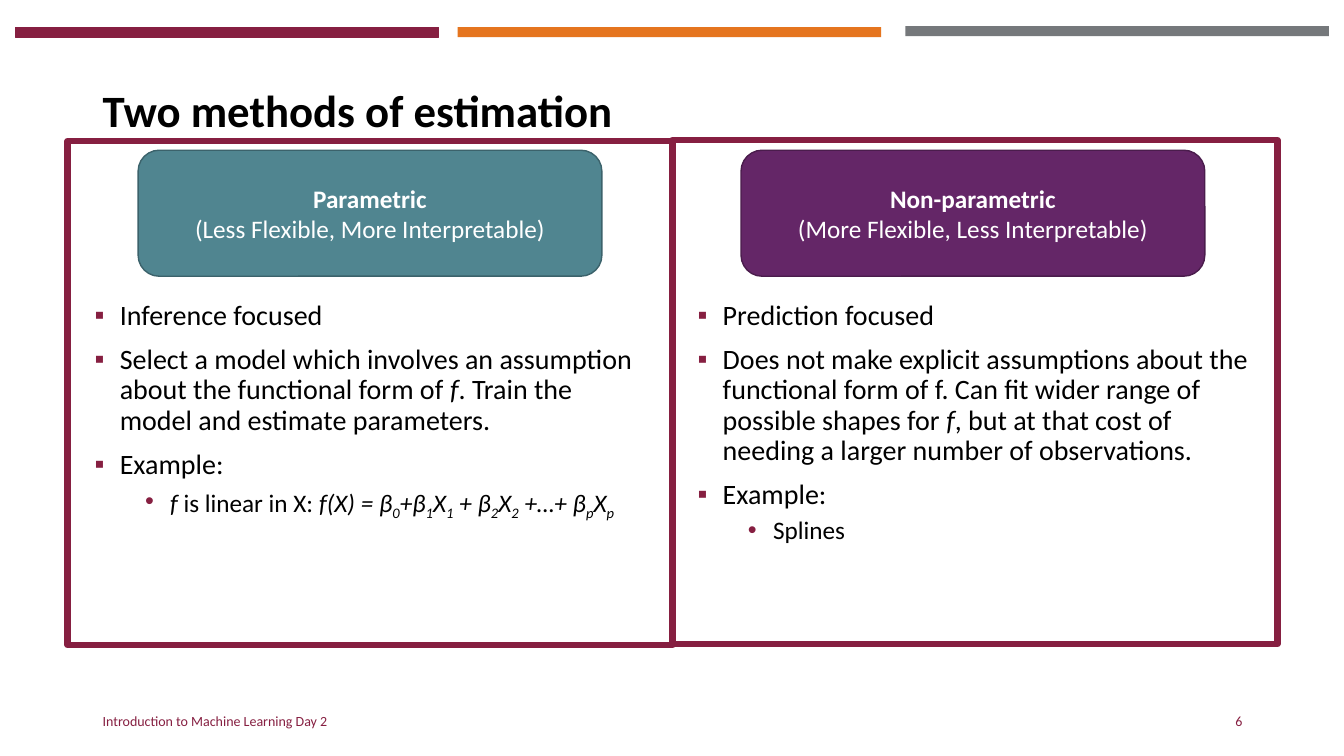
from dataclasses import dataclass

from lxml.etree import SubElement
from pptx import Presentation
from pptx.dml.color import RGBColor
from pptx.enum.shapes import MSO_SHAPE
from pptx.enum.text import MSO_ANCHOR, PP_ALIGN
from pptx.oxml.ns import qn
from pptx.util import Inches, Pt

COLORS = {
    "maroon": "861F41", "orange": "E5751F", "gray": "75787B",
    "teal": "508590", "teal_edge": "3B626B",
    "purple": "642667", "purple_edge": "4A1C4C",
    "black": "000000", "white": "FFFFFF",
}


@dataclass(frozen=True)
class Span:
    text: str
    italic: bool = False
    subscript: bool = False


@dataclass(frozen=True)
class Bullet:
    spans: list[Span]
    level: int = 0


@dataclass(frozen=True)
class Method:
    name: str
    summary: str
    fill: str
    edge: str
    header_left: float
    body_left: float
    frame_left: float
    frame_top: float
    bullets: list[Bullet]


@dataclass(frozen=True)
class Label:
    text: str
    box: tuple[float, float, float, float]
    size: int
    color: str
    format: dict


@dataclass(frozen=True)
class BulletStyle:
    mark: str
    margin: float
    size: int
    space: int


BULLET_STYLES = [BulletStyle("▪", 0.25, 20, 10), BulletStyle("•", 0.75, 18, 5)]

# Linear formula, base and subscript in turn
FORMULA = [("f(X) = β", "0"), ("+β", "1"), ("X", "1"), (" + β", "2"),
           ("X", "2"), (" +…+ β", "p"), ("X", "p")]
FORMULA_SPANS = [Span(text, True, subscript) for pair in FORMULA
                 for text, subscript in zip(pair, (False, True))]

METHODS = [
    Method("Parametric", "(Less Flexible, More Interpretable)",
           "teal", "teal_edge", 1.37, 0.84, 0.67, 1.4, [
               Bullet([Span("Inference focused")]),
               Bullet([Span("Select a model which involves an assumption about "
                            "the functional form of "), Span("f", True),
                       Span(". Train the model and estimate parameters.")]),
               Bullet([Span("Example:")]),
               Bullet([Span("f ", True), Span("is linear in X: "),
                       *FORMULA_SPANS], 1),
           ]),
    Method("Non-parametric", "(More Flexible, Less Interpretable)",
           "purple", "purple_edge", 7.35, 6.82, 6.67, 1.39, [
               Bullet([Span("Prediction focused")]),
               Bullet([Span("Does not make explicit assumptions about the "
                            "functional form of f. Can fit wider range of "
                            "possible shapes for "), Span("f", True),
                       Span(", but at that cost of needing a larger number "
                            "of observations.")]),
               Bullet([Span("Example:")]),
               Bullet([Span("Splines")], 1),
           ]),
]

LABELS = [
    Label("Two methods of estimation", (0.92, 0.4, 11.5, 1.45), 32, "black",
          {"line_spacing": 0.9}),
    Label("Introduction to Machine Learning Day 2", (0.92, 6.95, 4.5, 0.4), 10,
          "maroon", {}),
    Label("6", (9.42, 6.95, 3, 0.4), 10, "maroon",
          {"alignment": PP_ALIGN.RIGHT}),
]


def rgb(name: str) -> RGBColor:
    return RGBColor.from_string(COLORS[name])


def apply_format(target, values: dict) -> None:
    for name, value in values.items():
        setattr(target, name, value)


def add_run(paragraph, text: str, size: int, color: str, **values):
    run = paragraph.add_run()
    run.text = text
    apply_format(run.font, {"name": "Calibri", "size": Pt(size), **values})
    run.font.color.rgb = rgb(color)
    return run


def add_box(slide, kind, box, fill=None, line=None, width: float = 0):
    shape = slide.shapes.add_shape(kind, *map(Inches, box))
    shape.shadow.inherit = False
    if fill:
        shape.fill.solid()
        shape.fill.fore_color.rgb = rgb(fill)
    else:
        shape.fill.background()
    if line:
        shape.line.color.rgb = rgb(line)
        shape.line.width = Pt(width)
    else:
        shape.line.fill.background()
    return shape


def add_text_box(slide, box, anchor):
    frame = slide.shapes.add_textbox(*map(Inches, box)).text_frame
    apply_format(frame, {"word_wrap": True, "vertical_anchor": anchor})
    return frame


def add_label(slide, label: Label) -> None:
    paragraph = add_text_box(slide, label.box, MSO_ANCHOR.MIDDLE).paragraphs[0]
    apply_format(paragraph, label.format)
    add_run(paragraph, label.text, label.size, label.color, bold=label.size > 30)


def add_bullets(slide, method: Method) -> None:
    frame = add_text_box(slide, (method.body_left, 2.94, 5.67, 3.6), MSO_ANCHOR.TOP)
    for index, bullet in enumerate(method.bullets):
        paragraph = frame.add_paragraph() if index else frame.paragraphs[0]
        style = BULLET_STYLES[bullet.level]
        apply_format(paragraph, {"level": bullet.level, "line_spacing": 0.9,
                                 "space_before": Pt(style.space if index else 0)})
        properties = paragraph._p.get_or_add_pPr()
        properties.set("marL", str(Inches(style.margin)))
        properties.set("indent", str(Inches(-0.25)))
        color = SubElement(properties, qn("a:buClr"))
        SubElement(color, qn("a:srgbClr"), val=COLORS["maroon"])
        SubElement(properties, qn("a:buFont"), typeface="Arial")
        SubElement(properties, qn("a:buChar"), char=style.mark)
        for span in bullet.spans:
            run = add_run(paragraph, span.text, style.size, "black", italic=span.italic)
            if span.subscript:
                run._r.get_or_add_rPr().set("baseline", "-25000")


def add_header(slide, method: Method) -> None:
    shape = add_box(slide, MSO_SHAPE.ROUNDED_RECTANGLE,
                    (method.header_left, 1.49, 4.6, 1.25),
                    method.fill, method.edge, 1)
    frame = shape.text_frame
    apply_format(frame, {"word_wrap": True, "vertical_anchor": MSO_ANCHOR.MIDDLE})
    for paragraph, text, bold in (
            (frame.paragraphs[0], method.name, True),
            (frame.add_paragraph(), method.summary, False)):
        paragraph.alignment = PP_ALIGN.CENTER
        add_run(paragraph, text, 18, "white", bold=bold)


def main() -> None:
    presentation = Presentation()
    apply_format(presentation, {"slide_width": Inches(13.33),
                                "slide_height": Inches(7.5)})
    slide = presentation.slides.add_slide(presentation.slide_layouts[6])

    # Color bars along the top
    for left, top, fill, line in ((0.15, 0.27, "maroon", "maroon"),
                                  (8.98, 0.26, "gray", None),
                                  (4.54, 0.27, "orange", None)):
        add_box(slide, MSO_SHAPE.RECTANGLE, (left, top, 4.2, 0.1), fill, line, 0.75)

    # Title, footer and page number
    for label in LABELS:
        add_label(slide, label)

    # One framed panel for each method
    for method in METHODS:
        add_bullets(slide, method)
        add_header(slide, method)
        add_box(slide, MSO_SHAPE.RECTANGLE,
                (method.frame_left, method.frame_top, 6, 5), None, "maroon", 4.5)

    presentation.save("out.pptx")


if __name__ == "__main__":
    main()
